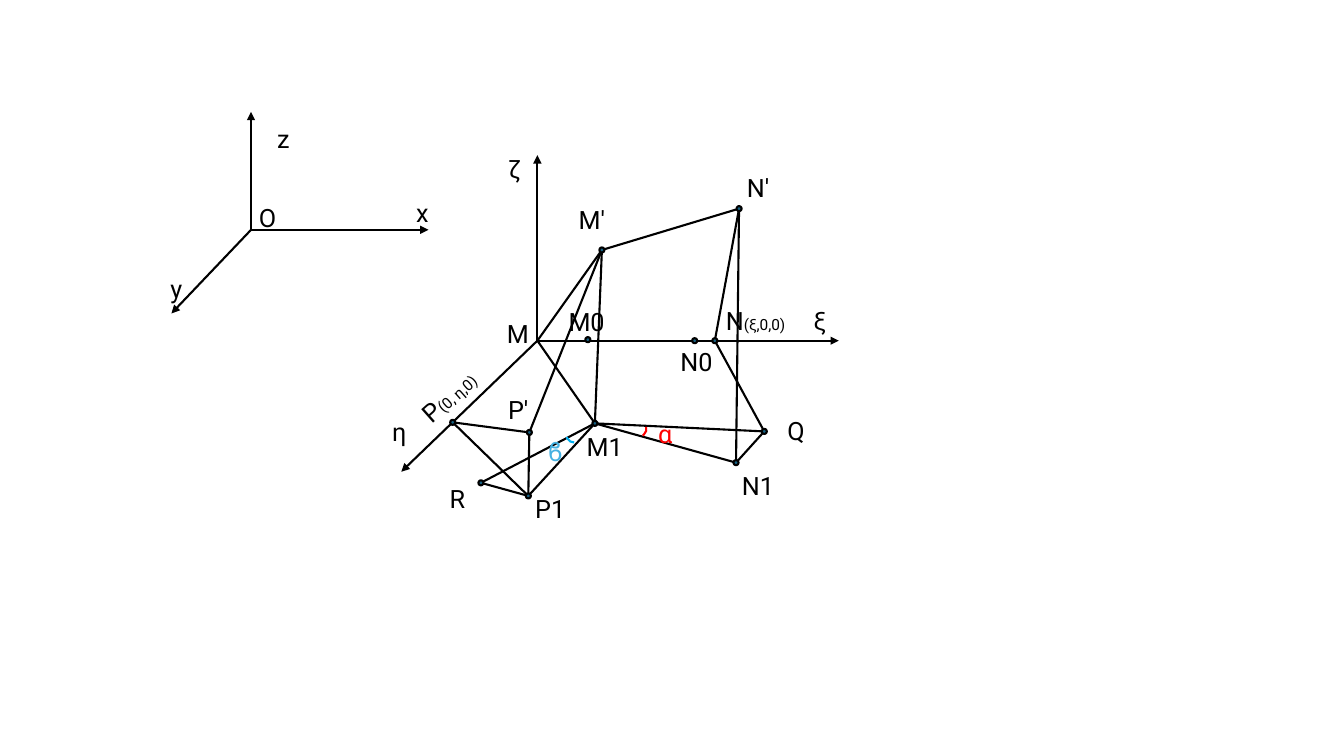
from lxml.etree import SubElement
from pptx import Presentation
from pptx.dml.color import RGBColor
from pptx.enum.shapes import MSO_CONNECTOR, MSO_SHAPE
from pptx.oxml.ns import qn
from pptx.util import Inches, Pt

THEME = {
    "font": "Roboto", "label": 18, "coordinates": 11, "line": 1.5,
    "ink": "000000", "dot": "156082",
    "alpha": "FF0000", "beta": "46B1E1", "beta_arc": "00B0F0",
}
DOT_SIZE = 0.05
LABEL_HEIGHT = 0.4

# Content: each axis system is an origin and its arrow tips
AXES = [
    ((2.49, 2.28), [(4.25, 2.28), (2.49, 1.11), (1.7, 3.11)]),
    ((5.33, 3.38), [(8.32, 3.38), (5.33, 1.54), (3.98, 4.68)]),
]

POINTS = {
    "M": (5.33, 3.38), "M′": (5.97, 2.48), "M1": (5.9, 4.2), "M0": (5.83, 3.37),
    "N": (7.09, 3.38), "N′": (7.33, 2.07), "N1": (7.3, 4.59), "N0": (6.89, 3.38),
    "P": (4.49, 4.19), "P′": (5.25, 4.29), "P1": (5.24, 4.92),
    "Q": (7.58, 4.28), "R": (4.77, 4.79),
}
UNDOTTED = {"M"}

EDGES = [
    ("M", "M′"), ("M′", "N′"), ("N", "N′"), ("M1", "M′"), ("N1", "N′"),
    ("M1", "N1"), ("M1", "Q"), ("N", "Q"), ("N1", "Q"), ("M", "M1"),
    ("M′", "P′"), ("P", "P′"), ("P′", "P1"), ("P1", "P"), ("M1", "P1"),
    ("M1", "R"), ("P1", "R"),
]

# Text, left, top, colour
LABELS = [
    ("O", 2.47, 1.96, "ink"), ("x", 4.03, 1.91, "ink"),
    ("y", 1.59, 2.66, "ink"), ("z", 2.65, 1.17, "ink"),
    ("M", 4.93, 3.11, "ink"), ("ξ", 7.97, 2.98, "ink"),
    ("η", 3.79, 4.08, "ink"), ("ζ", 4.94, 1.47, "ink"),
    ("M′", 5.64, 1.98, "ink"), ("N′", 7.31, 1.66, "ink"),
    ("P′", 4.94, 3.86, "ink"), ("R", 4.36, 4.75, "ink"),
    ("N1", 7.26, 4.62, "ink"), ("Q", 7.71, 4.07, "ink"),
    ("P1", 5.21, 4.84, "ink"), ("M1", 5.72, 4.23, "ink"),
    ("N0", 6.65, 3.39, "ink"), ("M0", 5.54, 2.99, "ink"),
    ("ϐ", 5.34, 4.28, "beta"), ("α", 6.43, 4.1, "alpha"),
]

# Name, coordinates, left, top, width, rotation
COORDINATE_LABELS = [
    ("N", "(ξ,0,0)", 7.1, 2.98, 1.15, 0),
    ("P", "(0, η,0)", 3.91, 3.39, 1.85, 318.5),
]

# Left, top, rotation, colour
ANGLE_ARCS = [(6.24, 4.17, 69.7, "alpha"), (5.61, 4.19, 174.7, "beta_arc")]


def color(name):
    return RGBColor.from_string(THEME[name])


def set_line(shape, name="ink"):
    shape.line.color.rgb = color(name)
    shape.line.width = Pt(THEME["line"])


def add_line(page, start, end, arrow=False):
    line = page.shapes.add_connector(
        MSO_CONNECTOR.STRAIGHT, *[Inches(value) for value in start + end])
    set_line(line)
    properties = line._element.spPr
    if arrow:
        SubElement(properties.find(qn("a:ln")), qn("a:tailEnd"), type="triangle")
    SubElement(properties, qn("a:effectLst"))


def add_label(page, runs, left, top, width=0.58, rotation=0):
    box = page.shapes.add_textbox(
        Inches(left), Inches(top), Inches(width), Inches(LABEL_HEIGHT))
    box.rotation = rotation
    box.text_frame.word_wrap = True
    para = box.text_frame.paragraphs[0]
    for text, size, name in runs:
        span = para.add_run()
        span.text = text
        span.font.name = THEME["font"]
        span.font.size = Pt(THEME[size])
        span.font.color.rgb = color(name)


def add_dot(page, center):
    left, top = [Inches(value - DOT_SIZE / 2) for value in center]
    dot = page.shapes.add_shape(
        MSO_SHAPE.OVAL, left, top, Inches(DOT_SIZE), Inches(DOT_SIZE))
    dot.shadow.inherit = False
    dot.fill.solid()
    dot.fill.fore_color.rgb = color("dot")
    set_line(dot)


def add_angle_arc(page, left, top, rotation, name):
    arc = page.shapes.add_shape(
        MSO_SHAPE.ARC, Inches(left), Inches(top), Inches(0.15), Inches(0.2))
    arc.shadow.inherit = False
    arc.adjustments[0] = 162
    arc.adjustments[1] = 198.5
    arc.rotation = rotation
    arc.fill.background()
    set_line(arc, name)


def main():
    deck = Presentation()
    deck.slide_width, deck.slide_height = Inches(13.33), Inches(7.5)
    page = deck.slides.add_slide(deck.slide_layouts[6])

    # Axes and edges
    for origin, tips in AXES:
        for tip in tips:
            add_line(page, origin, tip, arrow=True)
    for start, end in EDGES:
        add_line(page, POINTS[start], POINTS[end])

    # Points
    for name, center in POINTS.items():
        if name not in UNDOTTED:
            add_dot(page, center)

    # Labels
    for text, left, top, name in LABELS:
        add_label(page, [(text, "label", name)], left, top)
    for text, coordinates, *place in COORDINATE_LABELS:
        runs = [(text, "label", "ink"), (coordinates, "coordinates", "ink")]
        add_label(page, runs, *place)

    # Angles
    for arc in ANGLE_ARCS:
        add_angle_arc(page, *arc)

    deck.save("out.pptx")


if __name__ == "__main__":
    main()
